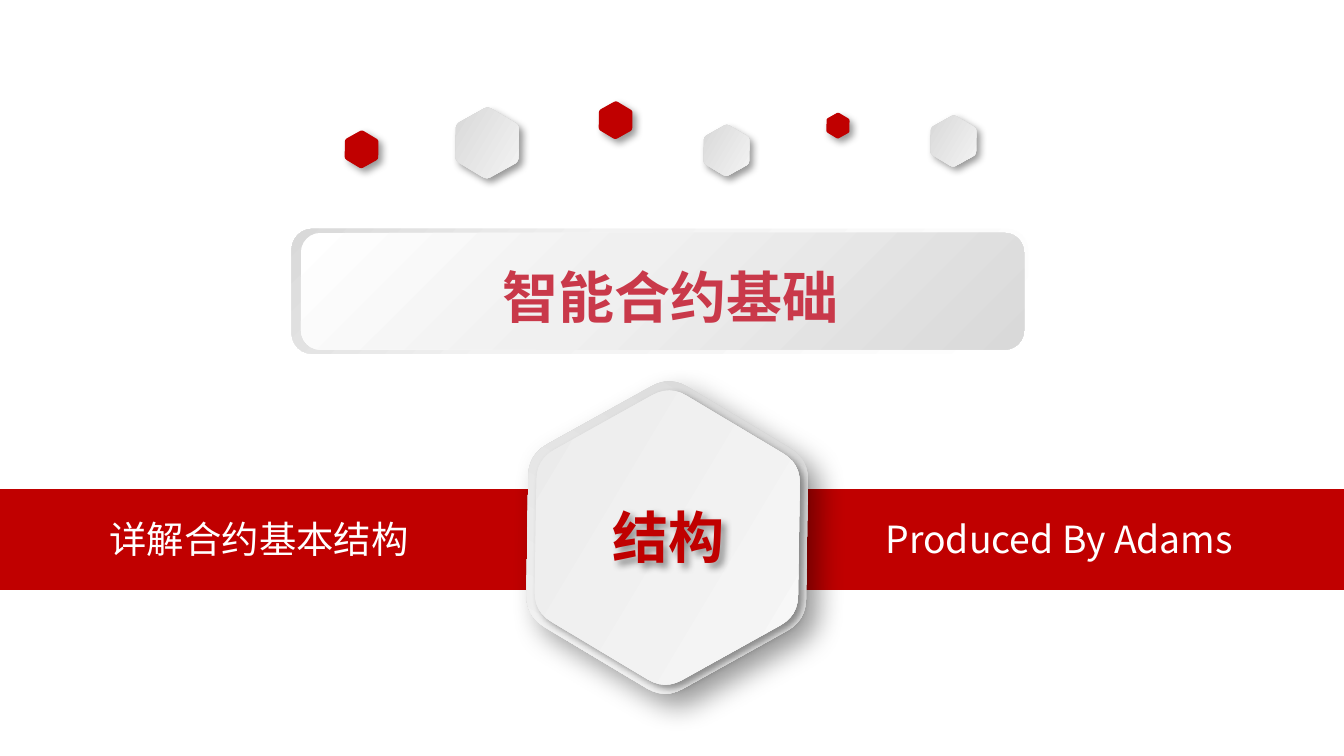
from math import cos, pi, sin, sqrt

from pptx import Presentation
from pptx.dml.color import RGBColor
from pptx.enum.shapes import MSO_SHAPE
from pptx.enum.text import MSO_ANCHOR, MSO_AUTO_SIZE, PP_ALIGN
from pptx.oxml import parse_xml
from pptx.oxml.ns import nsdecls
from pptx.util import Pt

FONT = "Noto Sans CJK SC"
RED, WHITE, ROSE = "C00000", "FFFFFF", "C9394A"
SILVER = [(0, "D3D3D3"), (100, "F9F9F9")]
PEARL = [(0, "E9E9E9"), (100, "F9F9F9")]
TILT = 30.9


def color(code):
    return RGBColor.from_string(code)


def paint(shape, fill, angle=0):
    """Fill with one colour, or with (percent, colour) stops; angle is counterclockwise."""
    shape.line.fill.background()
    shape.shadow.inherit = False
    if isinstance(fill, str):
        shape.fill.solid()
        shape.fill.fore_color.rgb = color(fill)
        return
    stops = "".join(
        f'<a:gs pos="{pos * 1000}"><a:srgbClr val="{code}"/></a:gs>' for pos, code in fill
    )
    turn = (360 - angle) % 360 * 60000
    grad = parse_xml(
        f'<a:gradFill {nsdecls("a")} rotWithShape="1"><a:gsLst>{stops}</a:gsLst>'
        f'<a:lin ang="{turn}" scaled="0"/></a:gradFill>'
    )
    shape.line._ln.addprevious(grad)


def shade(shape, blur=4, dist=3):
    """Put a soft shadow to the lower right."""
    shape.shadow.inherit = False
    effect = shape.element.spPr.find(f"{{{shape.element.nsmap['a']}}}effectLst")
    effect.append(parse_xml(
        f'<a:outerShdw {nsdecls("a")} blurRad="{Pt(blur)}" dist="{Pt(dist)}" '
        'dir="2700000" algn="tl" rotWithShape="0"><a:srgbClr val="000000">'
        '<a:alpha val="40000"/></a:srgbClr></a:outerShdw>'
    ))


def place(shape, box):
    shape.left, shape.top, shape.width, shape.height = map(Pt, box)


def write(shape, text, size, code, bold=False, align=PP_ALIGN.CENTER, anchor=MSO_ANCHOR.TOP):
    frame = shape.text_frame
    frame.text = text
    frame.word_wrap = True
    frame.vertical_anchor = anchor
    para = frame.paragraphs[0]
    para.alignment = align
    font = para.runs[0].font
    font.name, font.size, font.bold = FONT, Pt(size), bold
    font.color.rgb = color(code)
    font._element.find(f"{{{shape.element.nsmap['a']}}}latin").addnext(
        parse_xml(f'<a:ea {nsdecls("a")} typeface="{FONT}"/>')
    )


def label(slide, box, text, align):
    shape = slide.shapes.add_textbox(*map(Pt, box))
    write(shape, text, 20, WHITE, align=align)
    shape.text_frame.auto_size = MSO_AUTO_SIZE.SHAPE_TO_FIT_TEXT


def hexagon(slide, x, y, high, fill, angle=0, blur=4, dist=3):
    """Draw a tilted hexagon with round corners, centred on x, y."""
    side, cut, steps = high / sqrt(3), 0.13, 6
    tips = [(x + side * cos(k * pi / 3), y + side * sin(k * pi / 3)) for k in range(6)]
    points = []
    for k, tip in enumerate(tips):
        start, end = (
            [t + cut * (n - t) for t, n in zip(tip, near)]
            for near in (tips[k - 1], tips[(k + 1) % 6])
        )
        for step in range(steps + 1):
            t = step / steps
            points.append(tuple(
                Pt((1 - t) ** 2 * a + 2 * t * (1 - t) * b + t * t * c)
                for a, b, c in zip(start, tip, end)
            ))
    path = slide.shapes.build_freeform(*points[0])
    path.add_line_segments(points[1:], close=True)
    shape = path.convert_to_shape()
    shape.rotation = TILT
    paint(shape, fill, angle)
    shade(shape, blur, dist)


def band(slide, box):
    left, top, wide, high = box
    bar = slide.shapes.add_shape(MSO_SHAPE.RECTANGLE, *map(Pt, box))
    paint(bar, RED)
    row = top + 10.8
    label(slide, (left + 12.2, row, 253.4, 31.7), "详解合约基本结构", PP_ALIGN.CENTER)
    label(slide, (left + 467.3, row, 252, 31.7), "Produced By Adams", PP_ALIGN.LEFT)


def dots(slide, box):
    left, top = box[:2]
    # centre x, centre y, height, fill
    for x, y, high, fill in [
        (77, 22, 33.8, SILVER), (145.8, 9.8, 18, RED), (9.7, 25.4, 18, RED),
        (205.2, 26, 24.4, SILVER), (264.9, 12.7, 12.3, RED), (326.8, 21, 24.4, SILVER),
    ]:
        hexagon(slide, left + x, top + y, high, fill)


def badge(slide, box):
    left, top, wide, high = box
    x, y = left + wide / 2, top + high / 2
    hexagon(slide, x, y, high, SILVER, 270, 15, 9)
    hexagon(slide, x, y, high - 8.7, PEARL)
    # Unfilled caption, so its shadow falls from the letters
    text = slide.shapes.add_shape(
        MSO_SHAPE.ROUNDED_RECTANGLE, Pt(x - 70.2), Pt(y - 18.7), Pt(141.8), Pt(36)
    )
    text.fill.background()
    text.line.fill.background()
    shade(text)
    write(text, "结构", 30, RED, True, anchor=MSO_ANCHOR.MIDDLE)


def banner(slide, box):
    left, top, wide, high = box
    inner = (left + 5, top + 2.2, wide - 7.2, high - 4.4)
    for part, angle, mid in [(box, 135, (62, "F2F2F2")), (inner, 315, (42, "F0F0F0"))]:
        plate = slide.shapes.add_shape(MSO_SHAPE.ROUNDED_RECTANGLE, *map(Pt, part))
        paint(plate, [(0, WHITE), mid, (100, "D9D9D9")], angle)
    # Title on top of the plates
    title = slide.shapes.title
    place(title, (left + 5.8, top + 14.4, wide, 43.2))
    write(title, "智能合约基础", 30, ROSE, True)
    title.text_frame.auto_size = MSO_AUTO_SIZE.SHAPE_TO_FIT_TEXT
    plate.element.addnext(title.element)


def main():
    deck = Presentation()
    deck.slide_width, deck.slide_height = Pt(720), Pt(405)
    slide = deck.slides.add_slide(deck.slide_layouts[5])
    band(slide, (0, 262.1, 720, 54))
    dots(slide, (184, 54.6, 340, 42))
    badge(slide, (274.3, 213.1, 166.3, 149.8))
    banner(slide, (156.2, 122.6, 394.6, 67))
    deck.save("out.pptx")


if __name__ == "__main__":
    main()
